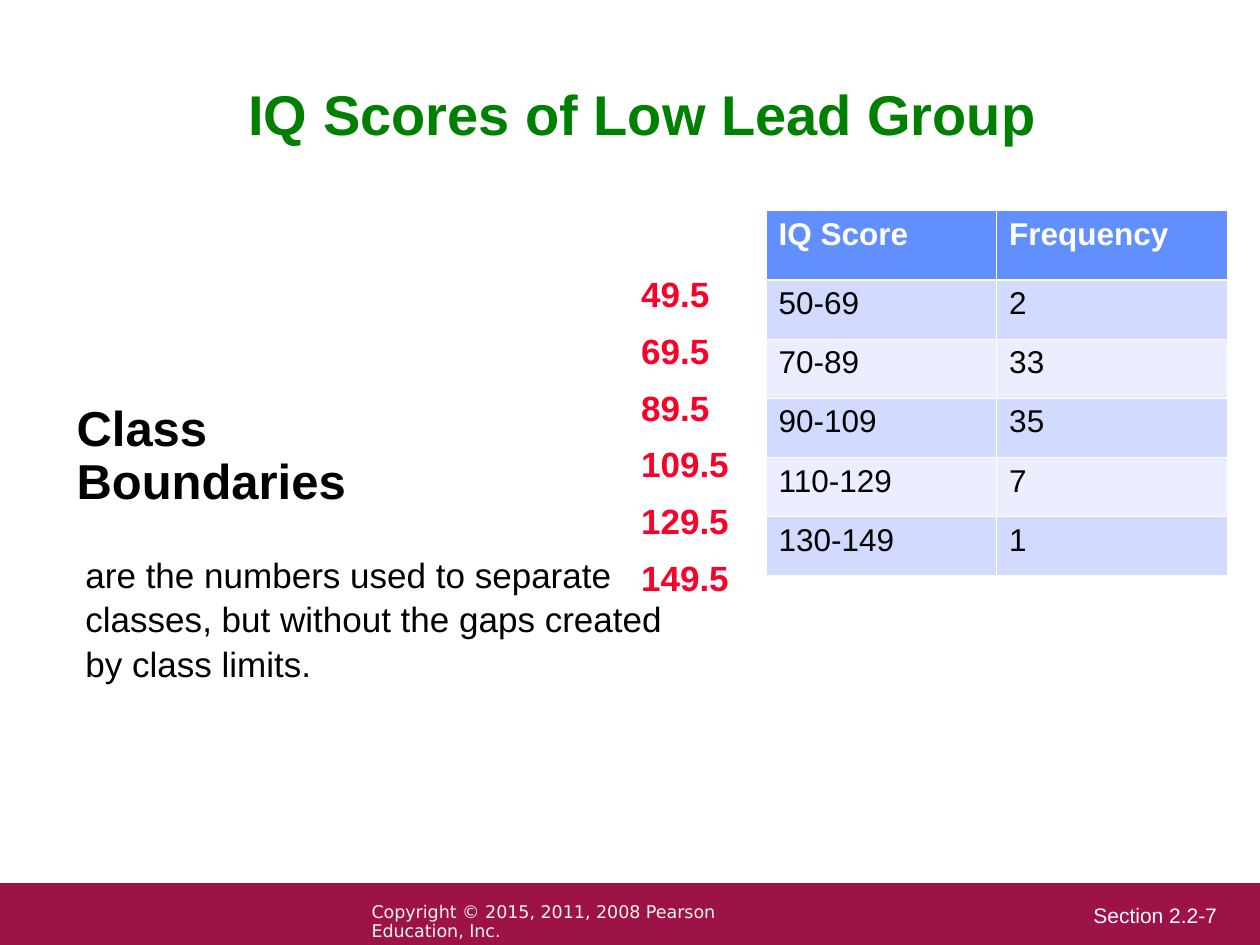
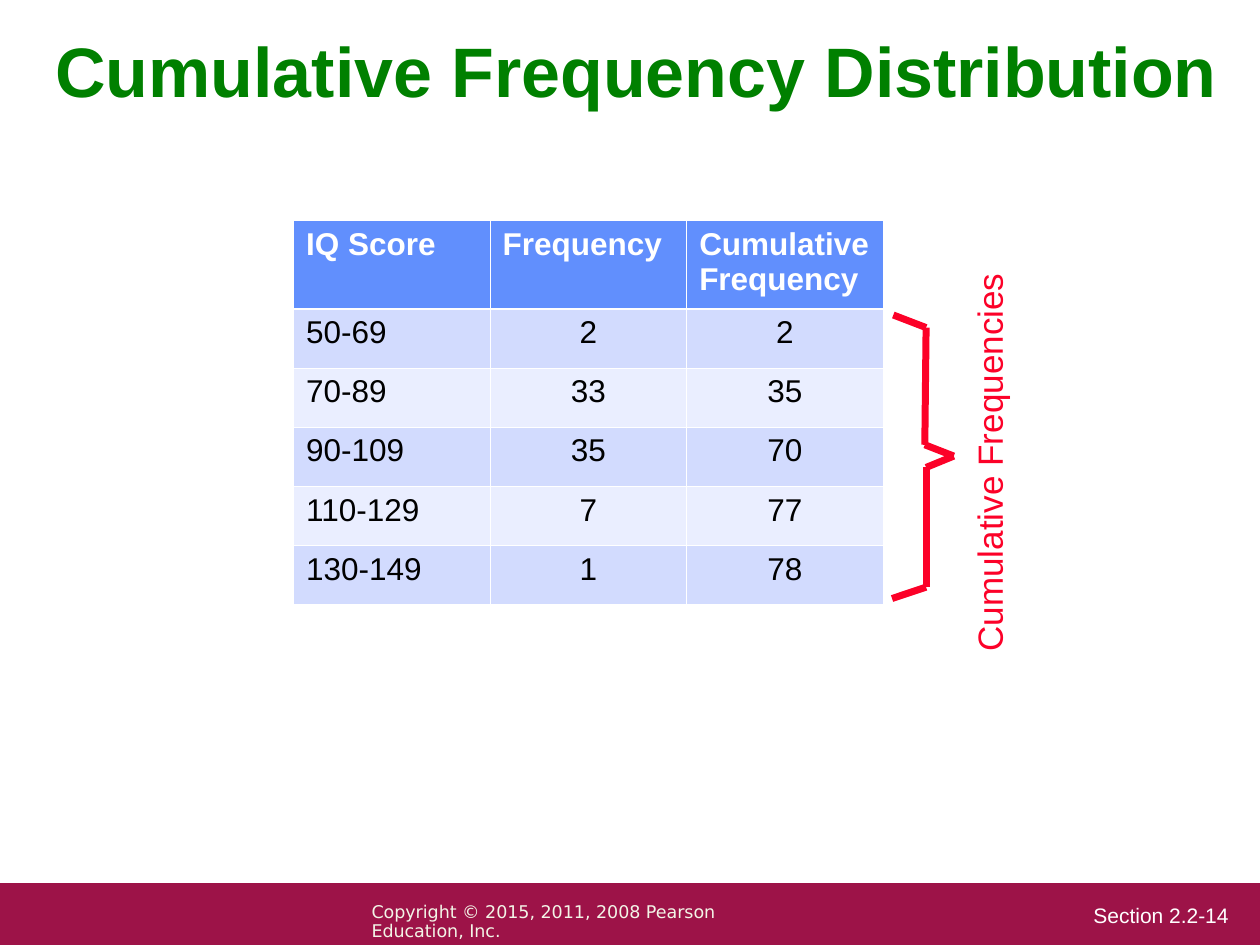
from itertools import pairwise

from lxml.etree import SubElement
from pptx import Presentation
from pptx.dml.color import RGBColor
from pptx.enum.shapes import MSO_CONNECTOR as Connector, MSO_SHAPE as Shape
from pptx.enum.text import MSO_ANCHOR as Anchor, MSO_AUTO_SIZE as AutoSize, PP_ALIGN as Align
from pptx.oxml.ns import qn
from pptx.util import Inches, Pt

# Shared look
GREEN, RED, BLACK, WHITE = "008000", "FC0128", "000000", "FFFFFF"
BAND, COPYRIGHT_COLOR = "9D1348", "F3F5E7"
HEADER_FILL, ODD_FILL, EVEN_FILL = "618FFD", "D2DBFE", "EAEEFF"
COPYRIGHT = "Copyright © 2015, 2011, 2008 Pearson Education, Inc."
ROW_HEIGHT = 0.47

# Class and frequency
CLASSES = [("50-69", 2), ("70-89", 33), ("90-109", 35), ("110-129", 7), ("130-149", 1)]


def color(hex_value):
    return RGBColor.from_string(hex_value)


def set_format(paragraph, size, hex_value, bold=False, name="Arial"):
    values = {"size": Pt(size), "bold": bold, "name": name}
    for key, value in values.items():
        setattr(paragraph.font, key, value)
    paragraph.font.color.rgb = color(hex_value)


def fill_frame(frame, lines, size, hex_value, spacing=0.9, align=Align.LEFT,
               anchor=Anchor.TOP, **font):
    settings = {"word_wrap": True, "auto_size": AutoSize.NONE, "vertical_anchor": anchor}
    for key, value in settings.items():
        setattr(frame, key, value)
    frame.text = "\n".join(lines)
    for paragraph in frame.paragraphs:
        paragraph.line_spacing = spacing
        paragraph.alignment = align
        set_format(paragraph, size, hex_value, **font)


def add_text(page, place, lines, size, hex_value, **options):
    box = page.shapes.add_textbox(*map(Inches, place))
    fill_frame(box.text_frame, lines, size, hex_value, **options)
    return box


def add_page(deck, title, place, size, section, **options):
    page = deck.slides.add_slide(deck.slide_layouts[5])
    # Title
    heading = page.shapes.title
    for key, value in zip(("left", "top", "width", "height"), place):
        setattr(heading, key, Inches(value))
    fill_frame(heading.text_frame, [title], size, GREEN, bold=True, **options)
    # Footer band
    band = page.shapes.add_shape(Shape.RECTANGLE, *map(Inches, (0, 7.01, 10, 0.49)))
    band.shadow.inherit = False
    band.fill.solid()
    band.fill.fore_color.rgb = color(BAND)
    band.line.fill.background()
    add_text(page, (8.58, 7.14, 1.4, 0.26), [f"Section {section}"], 12, WHITE)
    add_text(page, (2.85, 7.12, 3.68, 0.25), [COPYRIGHT], 10, COPYRIGHT_COLOR,
             name="DejaVu Sans")
    return page


def add_borders(cell, widths):
    properties = cell._tc.get_or_add_tcPr()
    for side, width in zip("LRTB", widths):
        line = SubElement(properties, qn(f"a:ln{side}"), w=str(Pt(width)))
        solid = SubElement(line, qn("a:solidFill"))
        SubElement(solid, qn("a:srgbClr"), val=WHITE)


def add_frequency_table(page, left, top, column_width, header_height, rows, number_align):
    width = column_width * len(rows[0])
    height = header_height + ROW_HEIGHT * (len(rows) - 1)
    table = page.shapes.add_table(len(rows), len(rows[0]),
                                  *map(Inches, (left, top, width, height))).table
    for column in table.columns:
        column.width = Inches(column_width)
    for number, values in enumerate(rows):
        header = number == 0
        table.rows[number].height = Inches(header_height if header else ROW_HEIGHT)
        fill = HEADER_FILL if header else ODD_FILL if number % 2 else EVEN_FILL
        thin, thick = 0.45, 1.47
        widths = (thin, thin, thick if number == 1 else thin, thick if header else thin)
        for index, value in enumerate(values):
            cell = table.cell(number, index)
            add_borders(cell, widths)
            cell.fill.solid()
            cell.fill.fore_color.rgb = color(fill)
            cell.text = str(value)
            paragraph = cell.text_frame.paragraphs[0]
            paragraph.alignment = Align.LEFT if header or index == 0 else number_align
            set_format(paragraph, 18, WHITE if header else BLACK, bold=header)


def add_stroke(page, start, end):
    stroke = page.shapes.add_connector(Connector.STRAIGHT, *map(Inches, (*start, *end)))
    stroke.line.color.rgb = color(RED)
    stroke.line.width = Pt(4)
    SubElement(stroke._element.spPr, qn("a:effectLst"))


def add_boundaries_page(deck):
    page = add_page(deck, "IQ Scores of Low Lead Group", (0.4, 0.23, 9.4, 1.4), 32,
                    "2.2-7", align=Align.CENTER, anchor=Anchor.MIDDLE)
    add_frequency_table(page, 6.08, 1.67, 1.83, 0.55,
                        [("IQ Score", "Frequency"), *CLASSES], Align.LEFT)
    # Term and its meaning
    add_text(page, (0.51, 3.16, 2.6, 0.94), ["Class", "Boundaries"], 28, BLACK, bold=True)
    add_text(page, (0.58, 4.33, 5, 1.15),
             ["are the numbers used to separate classes, but without the gaps "
              "created by class limits."], 20, BLACK, spacing=1.05)
    # Boundaries beside the table
    boundaries = [f"{49.5 + 20 * step}" for step in range(len(CLASSES) + 1)]
    add_text(page, (4.99, 2, 1.26, 2.8), boundaries, 20, RED, spacing=1.35, bold=True)


def add_cumulative_page(deck):
    page = add_page(deck, "Cumulative Frequency Distribution", (0.34, 0.24, 9.44, 0.7),
                    40, "2.2-14")
    label = add_text(page, (6.2, 3.22, 3.52, 0.58), ["Cumulative Frequencies"], 20, RED)
    label.rotation = 270
    # Brace from the table to its label
    brace = [(7.09, 2.5), (7.35, 2.6), (7.34, 3.53), (7.57, 3.62),
             (7.35, 3.71), (7.35, 4.66), (7.08, 4.75)]
    for start, end in pairwise(brace):
        add_stroke(page, start, end)
    rows = [("IQ Score", "Frequency", "Cumulative Frequency")]
    total = 0
    for scores, frequency in CLASSES:
        total += frequency
        rows.append((scores, frequency, total))
    add_frequency_table(page, 2.33, 1.75, 1.56, 0.7, rows, Align.CENTER)


def main():
    deck = Presentation()
    deck.slide_width, deck.slide_height = Inches(10), Inches(7.5)
    add_boundaries_page(deck)
    add_cumulative_page(deck)
    deck.save("out.pptx")


if __name__ == "__main__":
    main()
